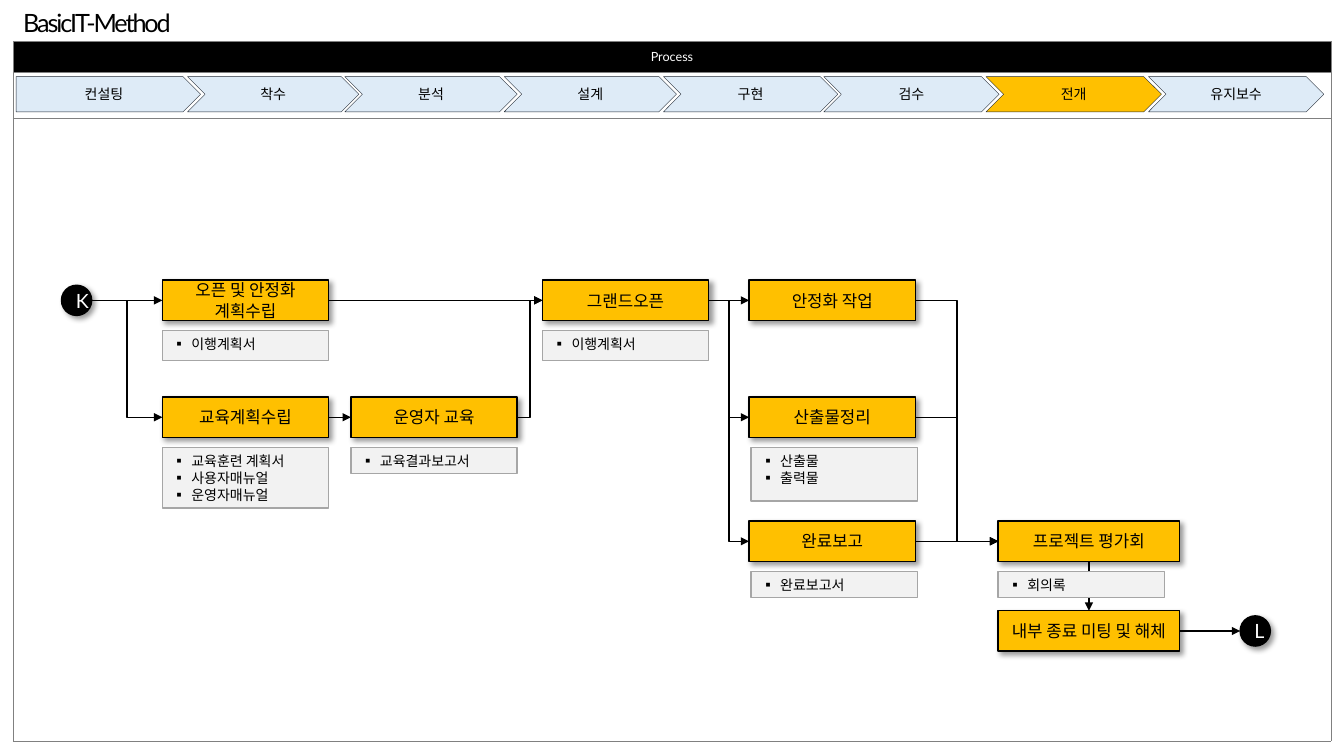
from pptx import Presentation
from pptx.dml.color import RGBColor
from pptx.enum.shapes import MSO_CONNECTOR as Connector, MSO_SHAPE as Shape
from pptx.enum.text import MSO_ANCHOR as Anchor, MSO_AUTO_SIZE as AutoSize, PP_ALIGN as Align
from pptx.oxml.ns import qn
from pptx.util import Inches, Pt
from lxml.etree import SubElement

COLORS = {"black": "000000", "white": "FFFFFF", "frame": "808080", "stage": "DEEBF7",
          "stage_line": "222A35", "accent": "FFC000", "note": "F2F2F2", "note_line": "A6A6A6"}
LATIN, KOREAN = "Lato", "Noto Sans CJK KR"

# Regions: left, top, width, height
TITLE = (0.13, 0.02, 4, 0.4)
FRAME = (0.13, 0.41, 13.07, 6.94)
STAGE_BAR = (0.16, 0.76, 12.97, 0.35)
CANVAS = (0.13, 1.17, 13.07, 6.18)
FRAME_ROWS = (0.31, 0.45, 6.18)

# Stage label, offset in the bar, width
STAGES = [("컨설팅", 0, 1.83), ("착수", 1.7, 1.7), ("분석", 3.26, 1.71), ("설계", 4.84, 1.71),
          ("구현", 6.42, 1.73), ("검수", 8.01, 1.74), ("전개", 9.62, 1.74), ("유지보수", 11.23, 1.74)]
CURRENT_STAGE = "전개"

# Grid of the flow, as offsets in the canvas
COLUMNS = (1.48, 3.35, 5.25, 7.3, 9.77)
ROWS = (1.61, 2.77, 4.0, 4.89)
CARD_WIDTH, CARD_HEIGHT, NOTE_DROP, DOT_SIZE = 1.65, 0.4, 0.5, 0.3
LAST_CARD_WIDTH = 1.8

# Key: label, column, row
TASKS = {"open_plan": ("오픈 및 안정화 계획수립", 0, 0), "training_plan": ("교육계획수립", 0, 1),
         "training": ("운영자 교육", 1, 1), "grand_open": ("그랜드오픈", 2, 0),
         "stabilize": ("안정화 작업", 3, 0), "deliverables": ("산출물정리", 3, 1),
         "report": ("완료보고", 3, 2), "review": ("프로젝트 평가회", 4, 2),
         "closing": ("내부 종료 미팅 및 해체", 4, 3)}
# Key: label, offset in the canvas, row
DOTS = {"start": ("K", 0.48, 0), "finish": ("L", 12.17, 3)}
# Documents, column, row, shift to the right, height
NOTES = [(["이행계획서"], 0, 0, 0, 0.3), (["이행계획서"], 2, 0, 0, 0.3),
         (["교육훈련 계획서", "사용자매뉴얼", "운영자매뉴얼"], 0, 1, 0, 0.6),
         (["교육결과보고서"], 1, 1, 0, 0.26), (["산출물", "출력물"], 3, 1, 0.02, 0.53),
         (["완료보고서"], 3, 2, 0.02, 0.26), (["회의록"], 4, 2, 0, 0.26)]
LINKS = [("start", "open_plan"), ("start", "training_plan"), ("open_plan", "grand_open"),
         ("training_plan", "training"), ("training", "grand_open"), ("grand_open", "stabilize"),
         ("grand_open", "deliverables"), ("grand_open", "report"), ("stabilize", "review"),
         ("deliverables", "review"), ("report", "review"), ("review", "closing"),
         ("closing", "finish")]


def rgb(name):
    return RGBColor.from_string(COLORS[name])


def add_run(paragraph, text, size, color="black", font=LATIN):
    run = paragraph.add_run()
    run.text = text
    run.font.size = Pt(size)
    run.font.name = font
    run.font.color.rgb = rgb(color)
    SubElement(run.font._element, qn("a:ea"), typeface=KOREAN)
    return run


def add_block(slide, kind, box, fill, line, width):
    shape = slide.shapes.add_shape(kind, *map(Inches, box))
    shape.fill.solid()
    shape.fill.fore_color.rgb = rgb(fill)
    shape.line.color.rgb = rgb(line)
    shape.line.width = Pt(width)
    shape.shadow.inherit = False
    shape.text_frame.word_wrap = True
    return shape


def add_label(shape, text, size, color="black"):
    shape.text_frame.vertical_anchor = Anchor.MIDDLE
    paragraph = shape.text_frame.paragraphs[0]
    paragraph.alignment = Align.CENTER
    add_run(paragraph, text, size, color)


def drop_shadow(shape):
    effects = shape._element.spPr.find(qn("a:effectLst"))
    shadow = SubElement(effects, qn("a:outerShdw"), blurRad=str(Pt(4)), dist=str(Pt(3)),
                        dir="2700000", algn="tl", rotWithShape="0")
    color = SubElement(shadow, qn("a:srgbClr"), val=COLORS["black"])
    SubElement(color, qn("a:alpha"), val="40000")


def add_title(slide, box):
    title = slide.shapes.title
    title.left, title.top, title.width, title.height = map(Inches, box)
    frame = title.text_frame
    frame.word_wrap = True
    frame.auto_size = AutoSize.NONE
    frame.vertical_anchor = Anchor.TOP
    paragraph = frame.paragraphs[0]
    paragraph.alignment = Align.LEFT
    run = add_run(paragraph, "BasicIT-Method", 18)
    run.font._element.set("spc", "-150")


def add_frame(slide, box):
    table = slide.shapes.add_table(len(FRAME_ROWS), 1, *map(Inches, box)).table
    table.first_row = table.horz_banding = False
    for row, height in zip(table.rows, FRAME_ROWS):
        row.height = Inches(height)
        cell = row.cells[0]
        properties = cell._tc.get_or_add_tcPr()
        for side in ("lnL", "lnR", "lnT", "lnB"):
            border = SubElement(properties, qn(f"a:{side}"), w=str(Pt(0.5)))
            fill = SubElement(border, qn("a:solidFill"))
            SubElement(fill, qn("a:srgbClr"), val=COLORS["frame"])
        cell.fill.background()
    header = table.cell(0, 0)
    header.fill.solid()
    header.fill.fore_color.rgb = rgb("black")
    header.vertical_anchor = Anchor.MIDDLE
    paragraph = header.text_frame.paragraphs[0]
    paragraph.alignment = Align.CENTER
    add_run(paragraph, "Process", 9, "white")


def add_stages(slide, box):
    left, top, _, height = box
    for index, (label, offset, width) in enumerate(STAGES):
        kind = Shape.CHEVRON if index else Shape.PENTAGON
        fill = "accent" if label == CURRENT_STAGE else "stage"
        stage = add_block(slide, kind, (left + offset, top, width, height), fill, "stage_line", 0.25)
        add_label(stage, label, 10)


def add_note(slide, box, documents):
    note = add_block(slide, Shape.RECTANGLE, box, "note", "note_line", 1)
    frame = note.text_frame
    frame.vertical_anchor = Anchor.TOP
    for index, document in enumerate(documents):
        paragraph = frame.add_paragraph() if index else frame.paragraphs[0]
        paragraph.alignment = Align.LEFT
        properties = paragraph._p.get_or_add_pPr()
        properties.set("marL", str(Inches(0.19)))
        properties.set("indent", str(-Inches(0.19)))
        SubElement(properties, qn("a:buFont"), typeface=KOREAN)
        SubElement(properties, qn("a:buChar"), char="▪")
        add_run(paragraph, document, 10, font=KOREAN)


def add_link(slide, source, target):
    # Cards in one column join bottom to top, all others right to left
    if source.left == target.left:
        start = (source.left + source.width // 2, source.top + source.height)
        end = (target.left + target.width // 2, target.top)
        sites = (2, 0)
    else:
        start = (source.left + source.width, source.top + source.height // 2)
        end = (target.left, target.top + target.height // 2)
        sites = (3, 1)
    straight = start[0] == end[0] or abs(start[1] - end[1]) < Pt(1)
    kind = Connector.STRAIGHT if straight else Connector.ELBOW
    link = slide.shapes.add_connector(kind, *start, *end)
    if source.auto_shape_type == Shape.RECTANGLE:
        link.begin_connect(source, sites[0])
    if target.auto_shape_type == Shape.RECTANGLE:
        link.end_connect(target, sites[1])
    link.line.color.rgb = rgb("black")
    link.line.width = Pt(1)
    SubElement(link.line._get_or_add_ln(), qn("a:tailEnd"), type="triangle")
    SubElement(link._element.spPr, qn("a:effectLst"))


def add_flow(slide, box):
    left, top = box[:2]
    nodes = {}
    # Task cards
    for key, (label, column, row) in TASKS.items():
        width = LAST_CARD_WIDTH if column == len(COLUMNS) - 1 else CARD_WIDTH
        card_box = (left + COLUMNS[column], top + ROWS[row], width, CARD_HEIGHT)
        nodes[key] = add_block(slide, Shape.RECTANGLE, card_box, "accent", "black", 1)
        add_label(nodes[key], label, 12)
    # Entry and exit dots, centred on their row
    for key, (label, offset, row) in DOTS.items():
        dot_top = top + ROWS[row] + (CARD_HEIGHT - DOT_SIZE) / 2
        dot_box = (left + offset, dot_top, DOT_SIZE, DOT_SIZE)
        nodes[key] = add_block(slide, Shape.OVAL, dot_box, "black", "black", 1)
        add_label(nodes[key], label, 14, "white")
    for node in nodes.values():
        drop_shadow(node)
    # Arrows, then the document notes above them
    for source, target in LINKS:
        add_link(slide, nodes[source], nodes[target])
    for documents, column, row, shift, height in NOTES:
        note_box = (left + COLUMNS[column] + shift, top + ROWS[row] + NOTE_DROP, CARD_WIDTH, height)
        add_note(slide, note_box, documents)


def main():
    presentation = Presentation()
    presentation.slide_width, presentation.slide_height = Inches(13.33), Inches(7.5)
    slide = presentation.slides.add_slide(presentation.slide_layouts[5])
    add_title(slide, TITLE)
    add_frame(slide, FRAME)
    add_stages(slide, STAGE_BAR)
    add_flow(slide, CANVAS)
    presentation.save("out.pptx")


if __name__ == "__main__":
    main()
